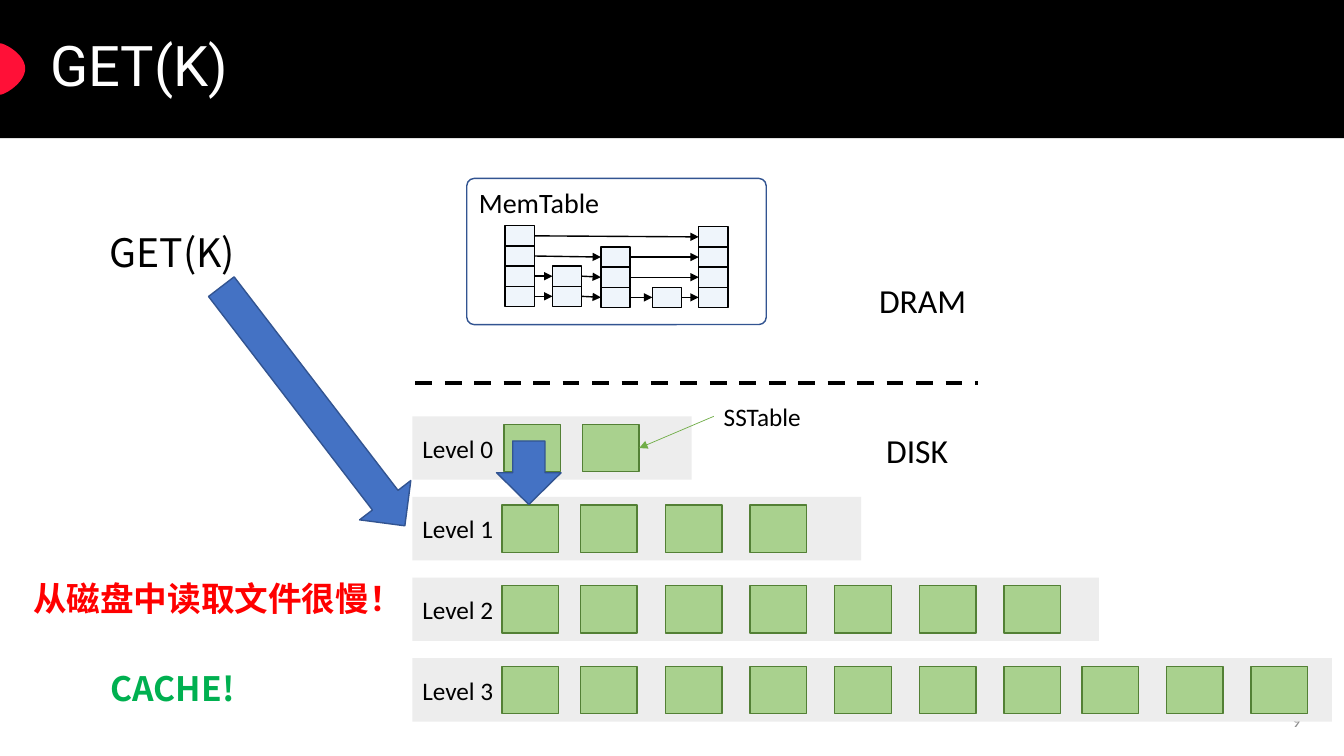
from lxml.etree import SubElement
from pptx import Presentation
from pptx.dml.color import RGBColor
from pptx.enum.dml import MSO_LINE
from pptx.enum.shapes import MSO_CONNECTOR, MSO_SHAPE
from pptx.enum.text import MSO_ANCHOR, PP_ALIGN
from pptx.oxml.ns import qn
from pptx.util import Inches, Pt

LEVEL_TOP, LEVEL_PITCH = 4.13, 0.8
LEVELS = [(2.77, 2), (4.45, 4), (6.81, 7), (9.12, 10)]
TABLE_COLUMNS = ([4.98] + [5.76 + 0.84 * i for i in range(6)]
                 + [10.73 + 0.84 * i for i in range(3)])
TOWERS = [(5.01, 2.84, 4), (5.48, 2.84, 2), (5.96, 2.85, 3),
          (6.47, 2.85, 1), (6.93, 2.85, 4)]
NODE_WIDTH, NODE_HEIGHT = 0.29, 0.2


def color(value):
    return RGBColor.from_string(value)


def write(shape, text, size, font="Calibri", fill="000000", bold=False,
          align=PP_ALIGN.LEFT, anchor=MSO_ANCHOR.MIDDLE):
    text_frame = shape.text_frame
    text_frame.text = text
    text_frame.vertical_anchor = anchor
    paragraph = text_frame.paragraphs[0]
    paragraph.alignment = align
    run = paragraph.runs[0]
    run.font.size = Pt(size)
    run.font.name = font
    run.font.bold = bold
    run.font.color.rgb = color(fill)
    SubElement(run.font._element, qn("a:ea")).set("typeface", font)


def style(shape, fill=None, line=None, alpha=None):
    shape.shadow.inherit = False
    if fill:
        shape.fill.solid()
        shape.fill.fore_color.rgb = color(fill)
    else:
        shape.fill.background()
    if alpha:
        value = shape._element.spPr.find(".//" + qn("a:srgbClr"))
        SubElement(value, qn("a:alpha")).set("val", str(alpha * 1000))
    if line:
        shape.line.color.rgb = color(line)
        shape.line.width = Pt(1)
    else:
        shape.line.fill.background()


def add_box(slide, left, top, width, height, fill=None, line=None,
            kind=MSO_SHAPE.RECTANGLE, alpha=None):
    shape = slide.shapes.add_shape(
        kind, Inches(left), Inches(top), Inches(width), Inches(height))
    style(shape, fill, line, alpha)
    return shape


def add_label(slide, left, top, width, height, text, size, wrap=False, **format):
    label = slide.shapes.add_textbox(
        Inches(left), Inches(top), Inches(width), Inches(height))
    label.text_frame.word_wrap = wrap
    write(label, text, size, **format)
    return label


def add_line(slide, start, end, line="000000", width=1, arrow=True):
    connector = slide.shapes.add_connector(
        MSO_CONNECTOR.STRAIGHT, *[Inches(value) for value in start + end])
    connector.line.color.rgb = color(line)
    connector.line.width = Pt(width)
    if arrow:
        SubElement(connector.line._get_or_add_ln(), qn("a:tailEnd")).set("type", "triangle")
    SubElement(connector._element.spPr, qn("a:effectLst"))
    return connector


def join(slide, source, target, **format):
    connector = add_line(slide, (0, 0), (0, 0), **format)
    connector.begin_connect(source[0], source[1])
    connector.end_connect(target[0], target[1])


def add_arrow(slide, left, top, width, height, rotation):
    arrow = add_box(slide, left, top, width, height, "4472C4", "325491",
                    MSO_SHAPE.RIGHT_ARROW)
    arrow.rotation = rotation


def bezier(points, steps=16):
    for step in range(1, steps + 1):
        t = step / steps
        weights = ((1 - t) ** 3, 3 * t * (1 - t) ** 2, 3 * t * t * (1 - t), t ** 3)
        yield tuple(Inches(sum(w * point[axis] for w, point in zip(weights, points)))
                    for axis in (0, 1))


def add_header(slide):
    add_box(slide, 0, 0, 13.33, 1.37, "000000")
    outline = [(-0.03, 0.68), (-0.03, 0.54), (-0.05, 0.43), (0, 0.43),
               (0.05, 0.43), (0.25, 0.54), (0.25, 0.68),
               (0.25, 0.82), (0.05, 0.94), (0, 0.94),
               (-0.05, 0.94), (-0.03, 0.82), (-0.03, 0.68)]
    builder = slide.shapes.build_freeform(Inches(-0.03), Inches(0.68))
    for first in range(0, 12, 3):
        builder.add_line_segments(list(bezier(outline[first:first + 4])), close=first == 9)
    style(builder.convert_to_shape(), "FF1037")

    title = slide.shapes.title
    title.left, title.top = Inches(0.4), Inches(0.09)
    title.width, title.height = Inches(12.6), Inches(1.18)
    write(title, "GET(K)", 40, font="Roboto", fill="FFFFFF")
    title.text_frame.paragraphs[0].line_spacing = 0.9
    slide.shapes._spTree.append(title._element)


def add_memtable(slide):
    memtable = add_box(slide, 4.63, 1.77, 2.97, 1.45, line="325491",
                       kind=MSO_SHAPE.ROUNDED_RECTANGLE)
    memtable.adjustments[0] = 0.05
    write(memtable, "MemTable", 20, anchor=MSO_ANCHOR.TOP)
    towers = [[add_box(slide, left, bottom - row * NODE_HEIGHT, NODE_WIDTH, NODE_HEIGHT,
                       "DEEBF7", "000000", alpha=46) for row in range(height)]
              for left, bottom, height in TOWERS]
    for row in range(4):
        nodes = [tower[row] for tower in towers if len(tower) > row]
        for source, target in zip(nodes, nodes[1:]):
            join(slide, (source, 3), (target, 1))


def add_levels(slide):
    for level, (width, count) in enumerate(LEVELS):
        top = LEVEL_TOP + level * LEVEL_PITCH
        bar = add_box(slide, 4.09, top, width, 0.63, "EDEDED")
        write(bar, f"Level {level}", 18)
        shift = 0.02 if level == 0 else 0
        tables = [add_box(slide, left + shift, top + 0.08, 0.56, 0.47, "A9D18E", "538035")
                  for left in TABLE_COLUMNS[:count]]
        if level == 0:
            label = add_label(slide, 7.08, 3.93, 0.97, 0.4, "SSTable", 18)
            join(slide, (label, 1), (tables[-1], 3), line="70AD47", width=0.5)


def main():
    presentation = Presentation()
    presentation.slide_width = Inches(13.33)
    presentation.slide_height = Inches(7.5)
    slide = presentation.slides.add_slide(presentation.slide_layouts[5])

    add_header(slide)
    add_label(slide, 9.42, 6.95, 3.58, 0.4, "9", 12, wrap=True, fill="8C8C8C",
              align=PP_ALIGN.RIGHT)
    add_memtable(slide)
    add_levels(slide)
    divider = add_line(slide, (4.12, 3.8), (9.7, 3.8), width=3, arrow=False)
    divider.line.dash_style = MSO_LINE.DASH
    add_label(slide, 8.62, 2.73, 1.07, 0.5, "DRAM", 24)
    add_label(slide, 8.69, 4.22, 0.82, 0.5, "DISK", 24)

    cjk = "Noto Sans CJK SC"
    add_arrow(slide, 1.61, 3.71, 2.99, 0.64, 52.5)
    add_label(slide, 0.99, 2.21, 1.45, 0.57, "GET(K)", 28, font=cjk)
    add_arrow(slide, 4.93, 4.37, 0.63, 0.64, 90)
    add_label(slide, 0.23, 5.68, 3.9, 0.5, "从磁盘中读取文件很慢！", 24,
              font=cjk, fill="FF0000", bold=True)
    add_label(slide, 1, 6.58, 1.49, 0.5, "CACHE!", 24, font=cjk, fill="00B050", bold=True)
    presentation.save("out.pptx")


if __name__ == "__main__":
    main()
